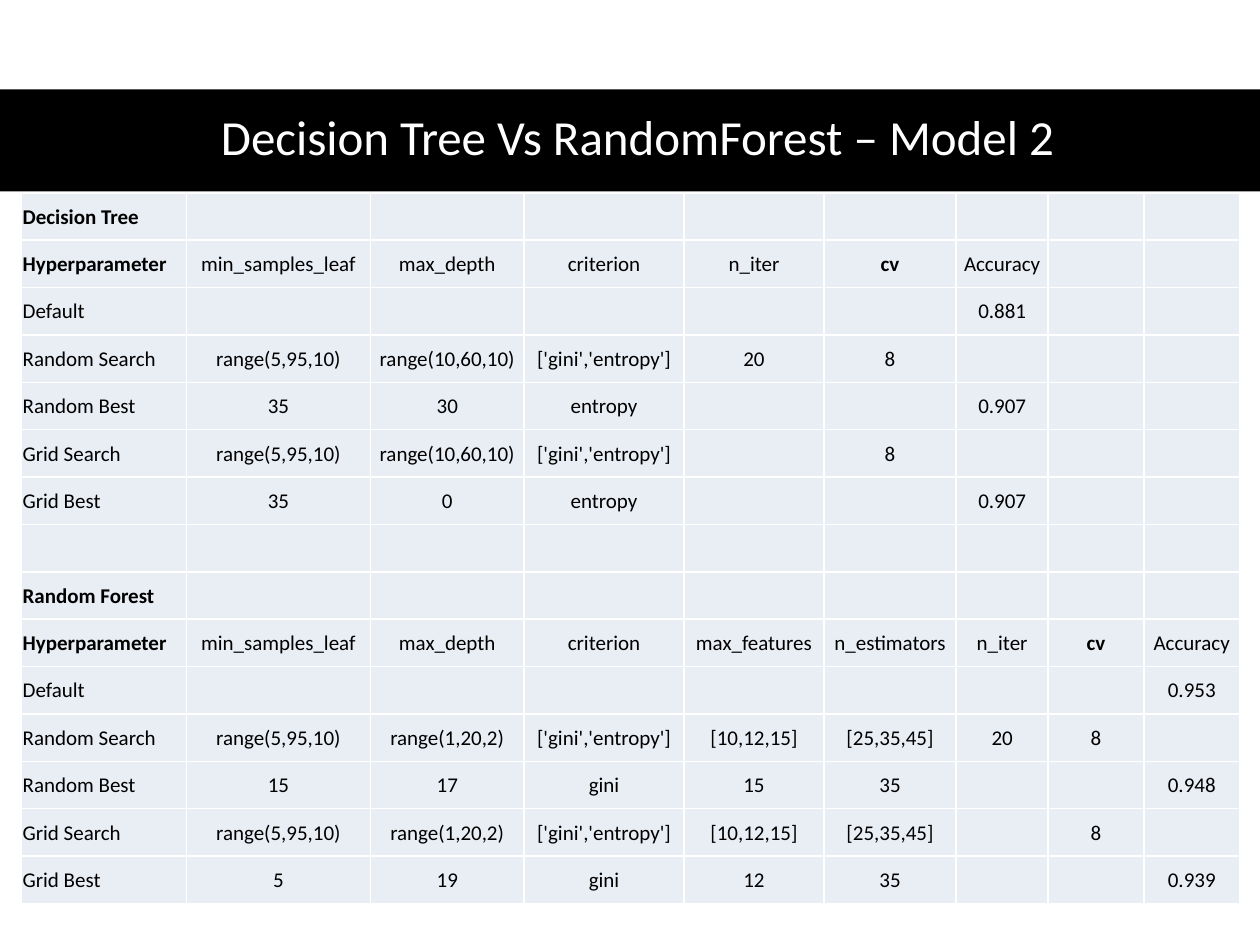
from dataclasses import dataclass

from lxml.etree import SubElement
from pptx import Presentation
from pptx.dml.color import RGBColor
from pptx.enum.shapes import MSO_SHAPE as Shape
from pptx.enum.text import MSO_ANCHOR as Anchor, PP_ALIGN as Align
from pptx.oxml.ns import qn
from pptx.util import Inches, Pt

COLORS = {"band": "000000", "title": "FFFFFF", "text": "000000",
          "cell": "E9EDF4", "border": "FFFFFF"}
FONT = "Calibri"
BOLD_TEXTS = {"Decision Tree", "Random Forest", "Hyperparameter", "cv"}
COLUMN_WIDTHS = [1.31, 1.46, 1.22, 1.27, 1.11, 1.05, 0.73, 0.76, 0.76]
TABLE_HEIGHT = 5.64


@dataclass
class Trial:
    """One table row: its label and the values by column."""
    label: str = ""
    values: tuple[str, ...] = ()


LEAF, DEPTH, FOREST_DEPTH = "range(5,95,10)", "range(10,60,10)", "range(1,20,2)"
CRITERIA, FEATURES, TREES = "['gini','entropy']", "[10,12,15]", "[25,35,45]"
SHARED = ("min_samples_leaf", "max_depth", "criterion")

TRIALS = [
    Trial("Decision Tree"),
    Trial("Hyperparameter", (*SHARED, "n_iter", "cv", "Accuracy")),
    Trial("Default", ("", "", "", "", "", "0.881")),
    Trial("Random Search", (LEAF, DEPTH, CRITERIA, "20", "8")),
    Trial("Random Best", ("35", "30", "entropy", "", "", "0.907")),
    Trial("Grid Search", (LEAF, DEPTH, CRITERIA, "", "8")),
    Trial("Grid Best", ("35", "0", "entropy", "", "", "0.907")),
    Trial(),
    Trial("Random Forest"),
    Trial("Hyperparameter",
          (*SHARED, "max_features", "n_estimators", "n_iter", "cv", "Accuracy")),
    Trial("Default", ("", "", "", "", "", "", "", "0.953")),
    Trial("Random Search", (LEAF, FOREST_DEPTH, CRITERIA, FEATURES, TREES, "20", "8")),
    Trial("Random Best", ("15", "17", "gini", "15", "35", "", "", "0.948")),
    Trial("Grid Search", (LEAF, FOREST_DEPTH, CRITERIA, FEATURES, TREES, "", "8")),
    Trial("Grid Best", ("5", "19", "gini", "12", "35", "", "", "0.939")),
]


def color(name: str) -> RGBColor:
    return RGBColor.from_string(COLORS[name])


def add_span(para, text: str, size: float, color_name: str, bold: bool = False) -> None:
    span = para.add_run()
    span.text = text
    span.font.name = FONT
    span.font.size = Pt(size)
    span.font.bold = bold
    span.font.color.rgb = color(color_name)


def add_borders(cell) -> None:
    properties = cell._tc.get_or_add_tcPr()
    for side in ("a:lnL", "a:lnR", "a:lnT", "a:lnB"):
        line = SubElement(properties, qn(side), w=str(Pt(1)))
        fill = SubElement(line, qn("a:solidFill"))
        SubElement(fill, qn("a:srgbClr"), val=COLORS["border"])


def format_cell(cell, text: str, align: Align) -> None:
    add_borders(cell)
    cell.fill.solid()
    cell.fill.fore_color.rgb = color("cell")
    cell.margin_left = cell.margin_right = cell.margin_top = Inches(0.01)
    cell.margin_bottom = 0
    cell.vertical_anchor = Anchor.MIDDLE
    if text:
        para = cell.text_frame.paragraphs[0]
        para.alignment = align
        add_span(para, text, 12, "text", text in BOLD_TEXTS)


def add_title(page, text: str) -> None:
    title = page.shapes.title
    title.left, title.top = Inches(0.46), Inches(0.7)
    title.width, title.height = Inches(9.2), Inches(0.81)
    title.text_frame.vertical_anchor = Anchor.MIDDLE
    para = title.text_frame.paragraphs[0]
    para.alignment = Align.CENTER
    para.line_spacing = 0.9
    add_span(para, text, 28, "title")

    # Black band behind the title
    band = page.shapes.add_shape(Shape.RECTANGLE, 0, Inches(0.71), Inches(10), Inches(0.81))
    band.shadow.inherit = False
    band.fill.solid()
    band.fill.fore_color.rgb = color("band")
    band.line.fill.background()
    title.element.addprevious(band.element)


def add_trials(page, trials: list[Trial]) -> None:
    frame = page.shapes.add_table(
        len(trials), len(COLUMN_WIDTHS), Inches(0.17), Inches(1.53),
        Inches(sum(COLUMN_WIDTHS)), Inches(TABLE_HEIGHT))
    table = frame.table
    table.first_row = table.horz_banding = False
    for column, width in zip(table.columns, COLUMN_WIDTHS):
        column.width = Inches(width)
    for row, trial in zip(table.rows, trials):
        row.height = Inches(TABLE_HEIGHT / len(trials))
        texts = [trial.label, *trial.values]
        texts += [""] * (len(COLUMN_WIDTHS) - len(texts))
        for index, (cell, text) in enumerate(zip(row.cells, texts)):
            format_cell(cell, text, Align.CENTER if index else Align.LEFT)


# Deck and page
deck = Presentation()
deck.slide_width, deck.slide_height = Inches(10), Inches(7.5)
page = deck.slides.add_slide(deck.slide_layouts[5])

add_title(page, "Decision Tree Vs RandomForest – Model 2")
add_trials(page, TRIALS)

deck.save("out.pptx")
